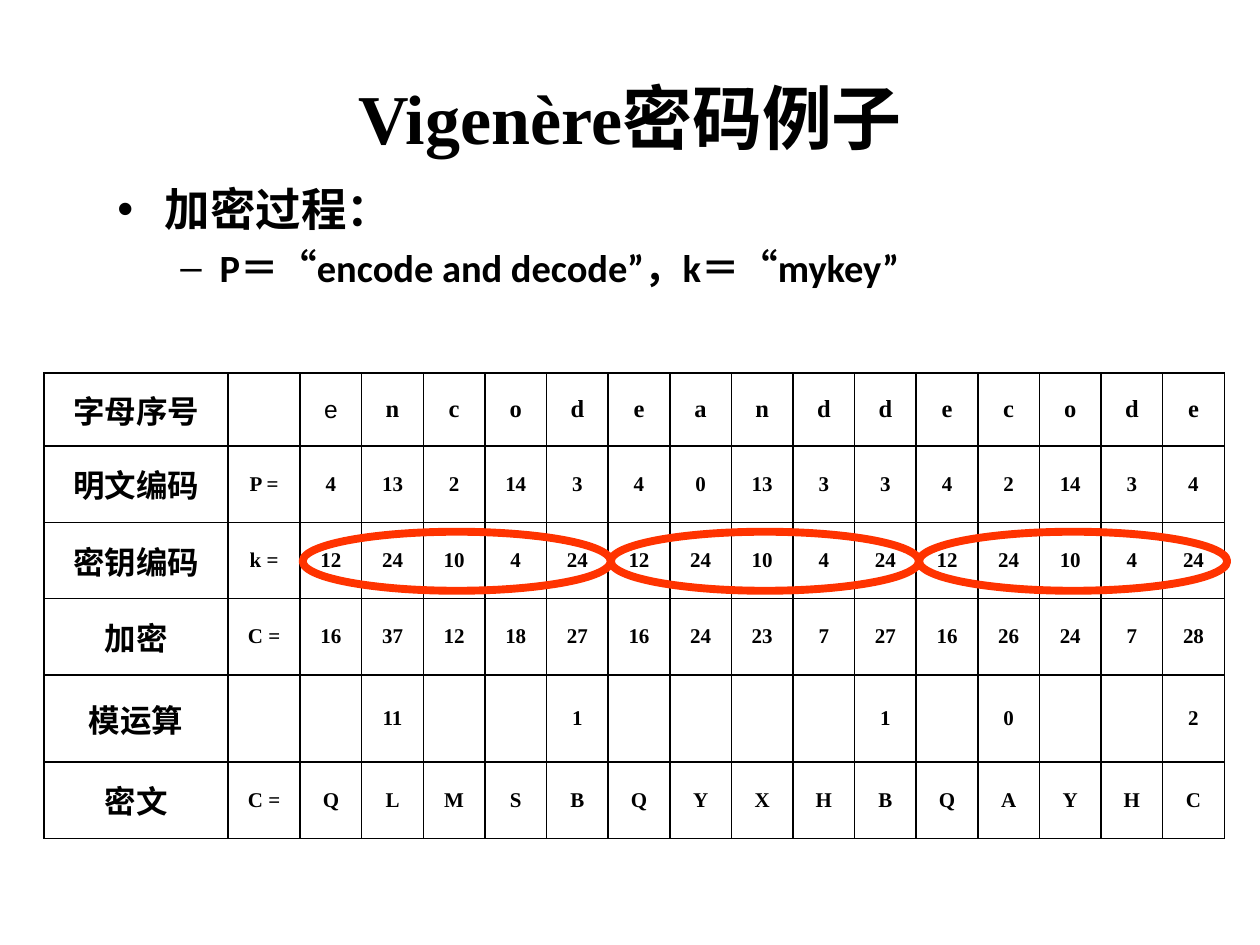
import pptx
import pptx.util
import pptx.dml.color
import pptx.enum.shapes
import pptx.enum.text
import pptx.oxml

Cm = pptx.util.Cm
Pt = pptx.util.Pt
BLACK = pptx.dml.color.RGBColor(0x00, 0x00, 0x00)
RED = pptx.dml.color.RGBColor(0xFF, 0x33, 0x00)
MIDDLE = pptx.enum.text.MSO_ANCHOR.MIDDLE
CENTER = pptx.enum.text.PP_ALIGN.CENTER
NS = "http://schemas.openxmlformats.org/drawingml/2006/main"

# Cipher data
PLAIN = "encodeanddecode"
KEY = "mykey"

# Table grid, in cm
LEFT, TOP, WIDTH = 0.89, 7.52, 23.8
LABEL, SIGN = 3.71, 1.45
STEP = (WIDTH - LABEL - SIGN) / len(PLAIN)
ROWS = [1.47, 1.54, 1.54, 1.54, 1.75, 1.54]


class Deck:
    """Holds the text style and the current slide."""

    base = {"name": "Times New Roman", "bold": True}

    def __init__(self, show):
        self.slide = show.slides.add_slide(show.slide_layouts[1])

    def style(self, par, **extra):
        for run in par.runs:
            run.font.color.rgb = BLACK
            for key, value in {**self.base, **extra}.items():
                setattr(run.font, key, value)

    def place(self, shape, left, top, width, height):
        box = {"left": left, "top": top, "width": width, "height": height}
        for key, value in box.items():
            setattr(shape, key, Cm(value))
        shape.text_frame.auto_size = pptx.enum.text.MSO_AUTO_SIZE.NONE

    def title(self, text, *box):
        shape = self.slide.shapes.title
        self.place(shape, *box)
        frame = shape.text_frame
        frame.text = text
        frame.vertical_anchor = MIDDLE
        frame.paragraphs[0].alignment = CENTER
        self.style(frame.paragraphs[0], size=Pt(40))

    def body(self, lines, *box):
        shape = self.slide.placeholders[1]
        self.place(shape, *box)
        frame = shape.text_frame
        frame.text = "\n".join(text for text, _ in lines)
        for level, (par, (_, size)) in enumerate(zip(frame.paragraphs, lines)):
            par.level = level
            self.style(par, name="Calibri", size=Pt(size))

    def border(self, cell):
        props = cell._tc.get_or_add_tcPr()
        for side in ("lnL", "lnR", "lnT", "lnB"):
            props.append(pptx.oxml.parse_xml(
                f'<a:{side} xmlns:a="{NS}" w="12700"><a:solidFill>'
                f'<a:srgbClr val="{BLACK}"/></a:solidFill></a:{side}>'))

    def cell(self, cell, text, **font):
        self.border(cell)
        cell.fill.background()
        cell.vertical_anchor = MIDDLE
        cell.text = text
        par = cell.text_frame.paragraphs[0]
        par.alignment = CENTER
        self.style(par, **font)

    def table(self, data, wide, high, left, top):
        table = self.slide.shapes.add_table(
            len(high), len(wide), Cm(left), Cm(top),
            Cm(sum(wide)), Cm(sum(high))).table
        table.first_row = table.horz_banding = False
        for col, width in zip(table.columns, wide):
            col.width = Cm(width)
        for r, (row, height) in enumerate(zip(data, high)):
            table.rows[r].height = Cm(height)
            for c, text in enumerate(row):
                size = 18 if c == 0 else 14 if r == 0 else 12
                font = {"size": Pt(size)}
                if (r, c) == (0, 2):  # the first letter is plain
                    font.update(name="Arial", bold=False)
                self.cell(table.cell(r, c), text, **font)

    def ring(self, left, top, width, height):
        shape = self.slide.shapes.add_shape(
            pptx.enum.shapes.MSO_SHAPE.OVAL,
            Cm(left), Cm(top), Cm(width), Cm(height))
        shape.shadow.inherit = False
        shape.fill.background()
        shape.line.color.rgb = RED
        shape.line.width = Pt(4.5)


def cipher():
    """Works out the table rows of the encryption."""
    codes = [ord(c) - ord("a") for c in PLAIN]
    keys = [ord(KEY[i % len(KEY)]) - ord("a") for i in range(len(PLAIN))]
    sums = [p + k for p, k in zip(codes, keys)]
    rows = [
        ("字母序号", "", PLAIN),
        ("明文编码", "P =", codes),
        ("密钥编码", "k =", keys),
        ("加密", "C =", sums),
        ("模运算", "", [s % 26 if s >= 26 else "" for s in sums]),
        ("密文", "C =", [chr(s % 26 + ord("A")) for s in sums]),
    ]
    return [[name, sign, *map(str, items)] for name, sign, items in rows]


def main():
    show = pptx.Presentation()
    show.slide_width, show.slide_height = Cm(25.4), Cm(19.05)
    deck = Deck(show)

    # Heading and list
    deck.title("Vigenère密码例子", 1.27, 0.76, 22.86, 3.18)
    deck.body([("加密过程：", 26), ("P＝“encode and decode”，k＝“mykey”", 22)],
              2.11, 3.53, 21.9, 2.44)

    # Encryption table
    wide = [LABEL, SIGN] + [STEP] * len(PLAIN)
    deck.table(cipher(), wide, ROWS, LEFT, TOP)

    # One ring round each repeat of the key
    span = STEP * len(KEY)
    for i in range(len(PLAIN) // len(KEY)):
        deck.ring(LEFT + LABEL + SIGN + 0.05 + i * span, 10.72, span, 1.19)

    show.save("out.pptx")


if __name__ == "__main__":
    main()
